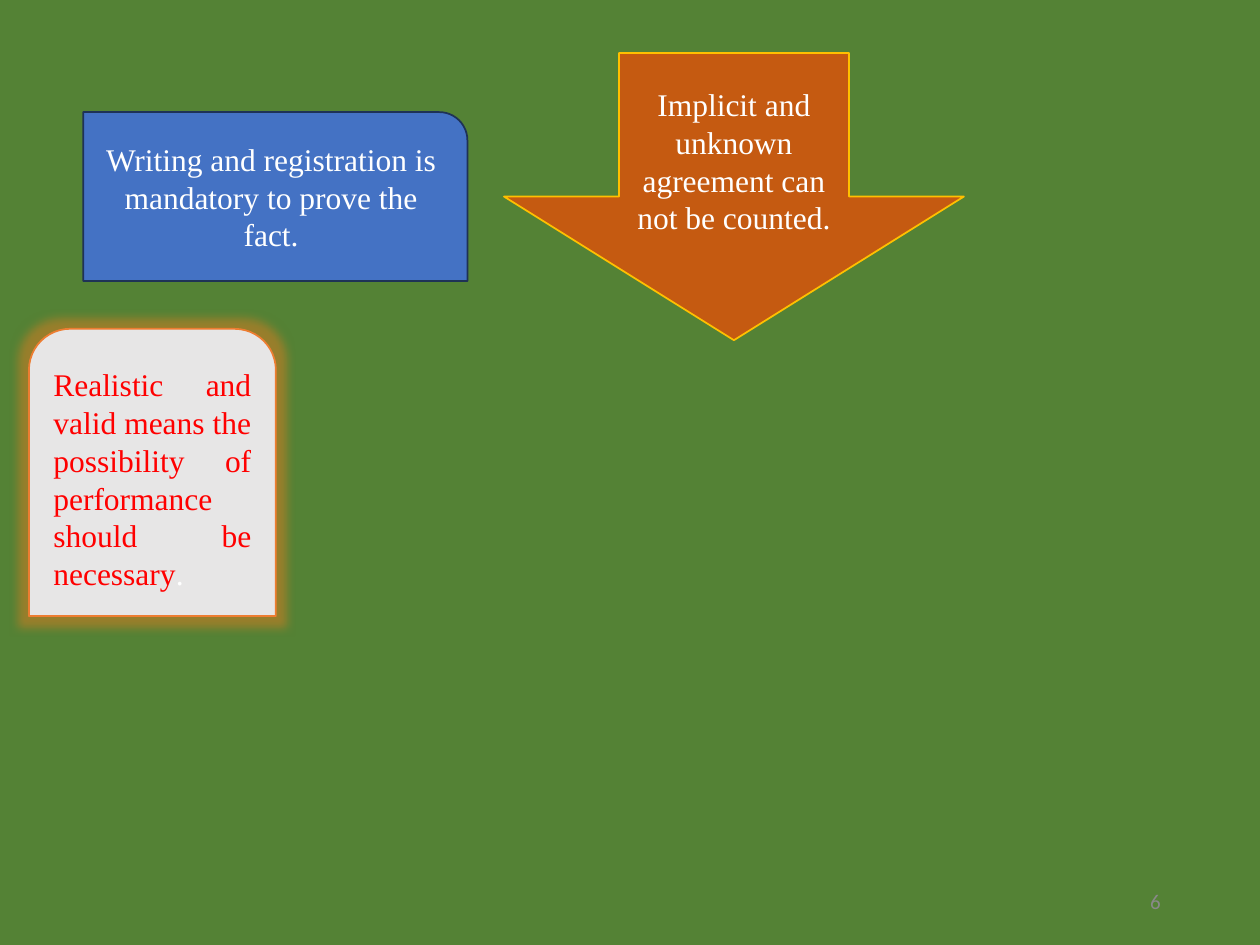
from lxml import etree
from pptx import Presentation
from pptx import util as u
from pptx.dml.color import RGBColor
from pptx.enum import shapes, text
from pptx.oxml import ns

COLUMNS, ROWS = 100, 75
WHITE = "FFFFFF"


def paint(color_format, hex_string):
    color_format.rgb = RGBColor.from_string(hex_string)


def place(left, top, width, height):
    """Turn grid columns and rows into slide lengths."""
    column, row = deck.slide_width / COLUMNS, deck.slide_height / ROWS
    return [u.Emu(round(n)) for n in (left * column, top * row, width * column, height * row)]


deck = Presentation()
deck.slide_width, deck.slide_height = u.Inches(10), u.Inches(7.5)
slide = deck.slides.add_slide(deck.slide_layouts[6])
slide.background.fill.solid()
paint(slide.background.fill.fore_color, "548235")

preset, align = shapes.MSO_SHAPE, text.PP_ALIGN
conditions = [
    (preset.ROUND_1_RECTANGLE, (6.6, 8.9, 30.5, 13.4), "4472C4", "1E3256", align.CENTER,
     [("Writing and registration is mandatory to prove the fact.", WHITE)]),
    (preset.DOWN_ARROW, (40, 4.2, 36.5, 22.8), "C55A11", "FFC000", align.CENTER,
     [("Implicit and unknown agreement can not be counted.", WHITE)]),
    (preset.ROUND_2_SAME_RECTANGLE, (2.3, 26.1, 19.6, 22.8), "E7E6E6", "ED7D31", align.JUSTIFY,
     [("Realistic and valid means the possibility of performance should be necessary", "FF0000"),
      (".", WHITE)]),
]
for outline, area, fill, border, alignment, wording in conditions:
    condition = slide.shapes.add_shape(outline, *place(*area))
    condition.shadow.inherit = False
    condition.fill.solid()
    paint(condition.fill.fore_color, fill)
    paint(condition.line.color, border)
    condition.line.width = u.Pt(1)
    condition.text_frame.word_wrap = True
    condition.text_frame.vertical_anchor = text.MSO_ANCHOR.MIDDLE
    sentence = condition.text_frame.paragraphs[0]
    sentence.alignment = alignment
    sentence.font.name, sentence.font.size = "Times New Roman", u.Pt(18)
    for words, color in wording:
        run = sentence.add_run()
        run.text = words
        paint(run.font.color, color)

# The last condition glows orange
effects = condition._element.spPr.find(ns.qn("a:effectLst"))
glow = etree.SubElement(effects, ns.qn("a:glow"), rad=str(u.Pt(11)))
glow_color = etree.SubElement(glow, ns.qn("a:srgbClr"), val="FF7A1C")
etree.SubElement(glow_color, ns.qn("a:alpha"), val="40000")

page_box = slide.shapes.add_textbox(*place(70.6, 69.5, 22.5, 4))
page_box.text_frame.word_wrap = True
page_box.text_frame.vertical_anchor = text.MSO_ANCHOR.MIDDLE
page_number = page_box.text_frame.paragraphs[0]
page_number.text = "6"
page_number.alignment = align.RIGHT
page_number.font.name, page_number.font.size = "Calibri", u.Pt(12)
paint(page_number.font.color, "898989")

deck.save("out.pptx")
